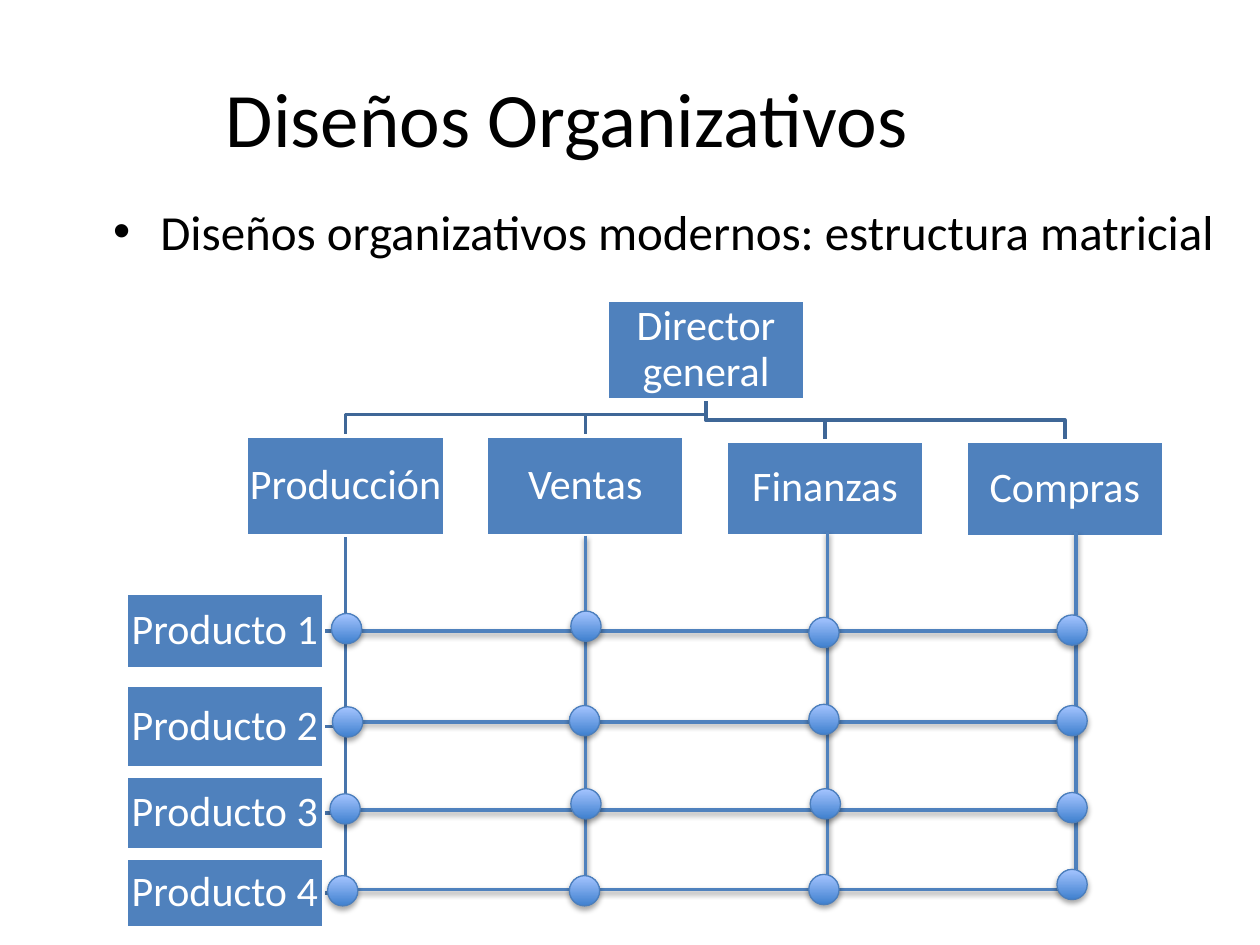
from lxml.etree import SubElement
from pptx import Presentation
from pptx.dml.color import RGBColor
from pptx.enum.shapes import MSO_CONNECTOR, MSO_SHAPE
from pptx.enum.text import MSO_ANCHOR, PP_ALIGN
from pptx.oxml import parse_xml
from pptx.oxml.ns import nsdecls, qn
from pptx.util import Pt

COLORS = {name: RGBColor.from_string(value) for name, value in {
    "black": "000000", "white": "FFFFFF", "box": "4F81BD",
    "tree": "3F6797", "branch": "4875AC",
    "dot_dark": "3F80CE", "dot_light": "A4C4FF", "dot_line": "4B7EBC",
}.items()}
BOX_WIDTH = 113


def format_text(frame, size, color, alignment):
    """Give the first paragraph of a text frame its look."""
    para = frame.paragraphs[0]
    para.alignment = alignment
    font = para.runs[0].font
    font.name, font.size = "Calibri", Pt(size)
    font.color.rgb = COLORS[color]
    return para


def add_shadow(shape, opacity, distance):
    """Add a soft shadow that falls straight down."""
    shape._element.spPr.append(parse_xml(
        f'<a:effectLst {nsdecls("a")}><a:outerShdw blurRad="{Pt(3.1)}" '
        f'dist="{Pt(distance)}" dir="5400000" rotWithShape="0">'
        f'<a:srgbClr val="000000"><a:alpha val="{opacity * 1000}"/></a:srgbClr>'
        '</a:outerShdw></a:effectLst>'))


deck = Presentation()
deck.slide_width, deck.slide_height = Pt(720), Pt(540)
page = deck.slides.add_slide(deck.slide_layouts[5])
shapes = page.shapes

# Title
title = shapes.title
title.left, title.top, title.width, title.height = Pt(0), Pt(21.6), Pt(648), Pt(90)
title.text_frame.text = "Diseños Organizativos"
title.text_frame.vertical_anchor = MSO_ANCHOR.MIDDLE
format_text(title.text_frame, 44, "black", PP_ALIGN.CENTER)

# Bulleted subtitle
subtitle = shapes.add_textbox(Pt(57.6), Pt(111.6), Pt(648), Pt(47.5))
subtitle.text_frame.word_wrap = True
subtitle.text_frame.text = "Diseños organizativos modernos: estructura matricial"
para = format_text(subtitle.text_frame, 28, "black", PP_ALIGN.LEFT)
properties = para._p.get_or_add_pPr()
properties.set("marL", str(Pt(27)))
properties.set("indent", str(Pt(-27)))
spacing = SubElement(properties, qn("a:spcBef"))
SubElement(spacing, qn("a:spcPct")).set("val", "20000")
SubElement(properties, qn("a:buFont")).set("typeface", "Arial")
SubElement(properties, qn("a:buChar")).set("char", "•")

# Boxes: label, left, top, height
director = ("Director general", 347, 171.4, 57)
departments = [
    (label, 141 + 137 * column, top, height)
    for column, (label, top, height) in enumerate([
        ("Producción", 249, 57), ("Ventas", 249, 57),
        ("Finanzas", 252, 54), ("Compras", 252, 54.7)])]
products = [
    (f"Producto {number}", 72, top, height)
    for number, (top, height) in enumerate(
        [(339, 43), (391.7, 47), (443.5, 42), (490.3, 40)], start=1)]

# Branches from the director to departments and from Producción to products
director_x, director_bottom = 347 + BOX_WIDTH / 2, 228.4
branches = []
for label, left, top, height in departments:
    center = left + BOX_WIDTH / 2
    branches.append(("tree", [
        (director_x, director_bottom), (director_x, top - 12),
        (center, top - 12), (center, top)]))
trunk_x = departments[0][1] + BOX_WIDTH / 2
for label, left, top, height in products:
    middle = top + height / 2
    branches.append(("branch", [
        (trunk_x, 306), (trunk_x, middle), (left + BOX_WIDTH, middle)]))

for color, points in branches:
    start, *rest = [(Pt(x), Pt(y)) for x, y in points]
    builder = shapes.build_freeform(*start)
    builder.add_line_segments(rest, close=False)
    branch = builder.convert_to_shape()
    branch.fill.background()
    branch.line.color.rgb = COLORS[color]
    branch.line.width = Pt(2)
    branch.shadow.inherit = False

boxes = {}
for label, left, top, height in [director, *departments, *products]:
    box = shapes.add_shape(MSO_SHAPE.RECTANGLE, Pt(left), Pt(top), Pt(BOX_WIDTH), Pt(height))
    box.fill.solid()
    box.fill.fore_color.rgb = COLORS["box"]
    box.line.color.rgb = COLORS["white"]
    box.line.width = Pt(2)
    box.shadow.inherit = False
    frame = box.text_frame
    frame.margin_left = frame.margin_right = frame.margin_top = frame.margin_bottom = Pt(1.2)
    frame.word_wrap = True
    frame.vertical_anchor = MSO_ANCHOR.MIDDLE
    frame.text = label
    format_text(frame, 24, "white", PP_ALIGN.CENTER).line_spacing = 0.9
    boxes[label] = box

# Matrix lines: product rows, then department columns
grid_lines = [(None, 195.8, y, 614.9, y) for y in (360.7, 412.6, 463, 508.3)]
grid_lines += [("Ventas", 334.5, 306, 334.5, 508.3),
               (None, 473, 303.8, 473, 506.9),
               (None, 614.9, 303.8, 614.9, 506.9)]
for department, *ends in grid_lines:
    line = shapes.add_connector(MSO_CONNECTOR.STRAIGHT, *[Pt(end) for end in ends])
    if department:
        line.begin_connect(boxes[department], 2)
    line.line.color.rgb = COLORS["box"]
    line.line.width = Pt(2)
    add_shadow(line, 38, 1.6)

# Dots where rows and columns cross: left, top
dots = [
    (189.4, 350.6), (326.2, 349.2), (462.2, 352.8), (604, 351.4),
    (190, 403.9), (325.4, 403.2), (462.2, 402.5), (604, 403.2),
    (188.6, 453.6), (326.2, 450.7), (463, 450.7), (604, 452.9),
    (187.2, 500.4), (325.4, 500.4), (462.2, 499.7), (604, 496.8),
]
for left, top in dots:
    dot = shapes.add_shape(MSO_SHAPE.FLOWCHART_CONNECTOR, Pt(left), Pt(top), Pt(17.3), Pt(17.3))
    dot.fill.gradient()
    dot.fill.gradient_angle = 90
    for stop, color, position in zip(dot.fill.gradient_stops, ("dot_dark", "dot_light"), (0, 1)):
        stop.color.rgb = COLORS[color]
        stop.position = position
    dot.line.color.rgb = COLORS["dot_line"]
    dot.line.width = Pt(0.75)
    add_shadow(dot, 35, 1.8)

deck.save("out.pptx")
